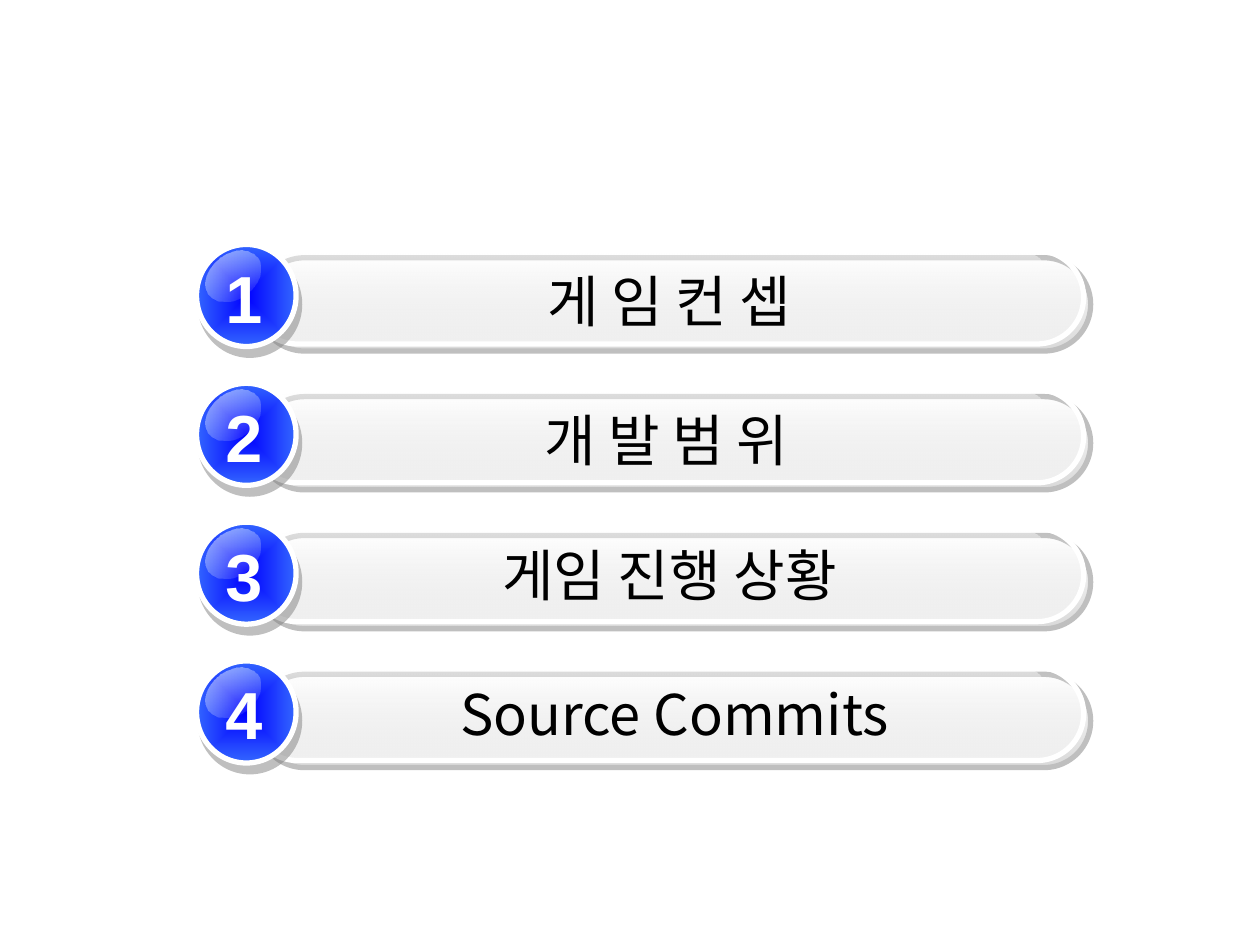
from pptx import Presentation
from pptx.dml.color import RGBColor
from pptx.enum.shapes import MSO_SHAPE
from pptx.enum.text import MSO_AUTO_SIZE, PP_ALIGN
from pptx.oxml import parse_xml
from pptx.oxml.ns import nsdecls, qn
from pptx.util import Inches, Pt

PILL = MSO_SHAPE.ROUNDED_RECTANGLE
CIRCLE = MSO_SHAPE.OVAL
CENTER = PP_ALIGN.CENTER
FIT_SHAPE = MSO_AUTO_SIZE.SHAPE_TO_FIT_TEXT
NO_FIT = MSO_AUTO_SIZE.NONE

COLUMNS, ROWS = 100, 75
FIRST_ROW, ROW_STEP = 19.9, 11.02
DOWNWARD = '<a:lin ang="5400000" scaled="1"/>'
OUTWARD = ('<a:path path="shape"><a:fillToRect l="50000" t="50000" '
           'r="50000" b="50000"/></a:path>')

# wording, left, width and drop below the bar's top, in grid units
AGENDA = [
    ("게 임 컨 셉", 36.6, 33.1, 1.4),
    ("개 발 범 위", 32.8, 40.2, 1.4),
    ("게임 진행 상황", 36.6, 33.1, 1.1),
    ("Source Commits", 24.8, 57.5, 1.1),
]


def color(code):
    return RGBColor.from_string(code)


def gradient(stops, direction):
    """Gradient fill from (colour, opacity percent) start and end stops."""
    marks = "".join(
        f'<a:gs pos="{position}"><a:srgbClr val="{code}">'
        f'<a:alpha val="{opacity * 1000}"/></a:srgbClr></a:gs>'
        for position, (code, opacity) in zip((0, 100000), stops))
    return parse_xml(f'<a:gradFill {nsdecls("a")} rotWithShape="1">'
                     f'<a:gsLst>{marks}</a:gsLst>{direction}</a:gradFill>')


def outer_shadow(code, opacity, distance, angle):
    return parse_xml(
        f'<a:outerShdw {nsdecls("a")} dist="{Pt(distance)}" '
        f'dir="{angle * 60000}" algn="ctr" rotWithShape="0">'
        f'<a:srgbClr val="{code}"><a:alpha val="{opacity * 1000}"/>'
        f'</a:srgbClr></a:outerShdw>')


def write(frame, wording, size, font, ink, bold=False, spacing=None, shadow=None):
    paragraph = frame.paragraphs[0]
    paragraph.alignment = CENTER
    paragraph.line_spacing = spacing
    run = paragraph.add_run()
    run.text = wording
    run.font.size = Pt(size)
    run.font.bold = bold
    run.font.color.rgb = color(ink)
    run.font.name = font
    properties = run.font._element
    east_asian = parse_xml(f'<a:ea {nsdecls("a")} typeface="{font}"/>')
    properties.find(qn("a:latin")).addnext(east_asian)
    if shadow is not None:
        effects = parse_xml(f'<a:effectLst {nsdecls("a")}/>')
        effects.append(shadow)
        properties.find(qn("a:solidFill")).addnext(effects)


class AgendaSlide:
    digit_font = "Arial"
    label_font = "Noto Sans CJK KR"
    white, black = "FFFFFF", "000000"
    blue, light_blue, gray = "0000FF", "3366FF", "808080"

    def __init__(self, deck):
        self.column = deck.slide_width / COLUMNS
        self.row = deck.slide_height / ROWS
        self.slide = deck.slides.add_slide(deck.slide_layouts[6])

    def place(self, left, top, width, height):
        return (round(left * self.column), round(top * self.row),
                round(width * self.column), round(height * self.row))

    def glass(self, kind, at, stops, direction=DOWNWARD, shadow=None, rotation=0):
        """Gradient shape; one with a shadow also gets a white rim."""
        shape = self.slide.shapes.add_shape(kind, *self.place(*at))
        shape.rotation = rotation
        if kind == PILL:
            shape.adjustments[0] = 0.5
        shape.fill.gradient()
        properties = shape._element.spPr
        properties.replace(properties.find(qn("a:gradFill")),
                           gradient(stops, direction))
        shape.shadow.inherit = False
        if shadow is None:
            shape.line.fill.background()
        else:
            shape.line.color.rgb = color(self.white)
            shape.line.width = Pt(3)
            properties.find(qn("a:effectLst")).append(shadow)

    def text(self, at, wording, wrap=True, fit=NO_FIT, **style):
        frame = self.slide.shapes.add_textbox(*self.place(*at)).text_frame
        frame.word_wrap = wrap
        frame.auto_size = fit
        write(frame, wording, **style)

    def bar(self, top):
        self.glass(PILL, (19.9, top, 66.1, 7.4),
                   [(self.white, 0), (self.white, 60)],
                   shadow=outer_shadow(self.gray, 50, 5.7, 45))
        self.glass(PILL, (22.3, top + 0.3, 60.4, 2),
                   [(self.white, 49), (self.white, 0)])

    def badge(self, top, number):
        self.glass(CIRCLE, (15.6, top - 0.5, 7.9, 8.1),
                   [(self.blue, 100), (self.light_blue, 100)], OUTWARD,
                   shadow=outer_shadow(self.gray, 50, 5.4, 68))
        self.glass(CIRCLE, (16.1, top + 0.25, 4.8, 3.5),
                   [(self.white, 57), (self.white, 0)], rotation=323.8)
        self.text((16.9, top, 4.9, 7.3), str(number), wrap=False, fit=FIT_SHAPE,
                  size=38, font=self.digit_font, ink=self.white, bold=True,
                  shadow=outer_shadow(self.black, 100, 2, 45))

    def label(self, top, wording, left, width):
        self.text((left, top, width, 4.7), wording, size=32,
                  font=self.label_font, ink=self.black, spacing=0.9)


def main():
    deck = Presentation()
    deck.slide_width, deck.slide_height = Inches(10), Inches(7.5)
    agenda = AgendaSlide(deck)
    tops = [FIRST_ROW + index * ROW_STEP for index in range(len(AGENDA))]
    for number in range(len(AGENDA), 0, -1):
        agenda.bar(tops[number - 1])
        agenda.badge(tops[number - 1], number)
    for top, (wording, left, width, drop) in zip(tops, AGENDA):
        agenda.label(top + drop, wording, left, width)
    deck.save("out.pptx")


if __name__ == "__main__":
    main()
